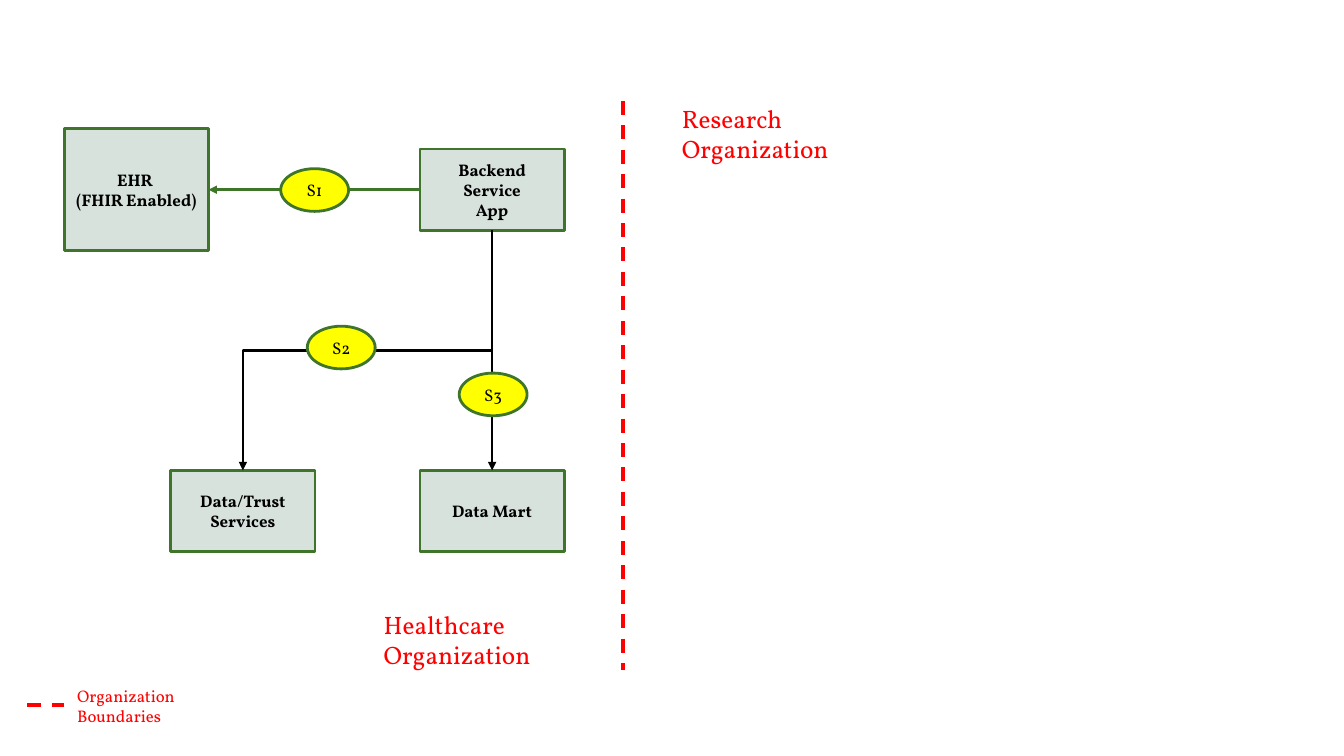
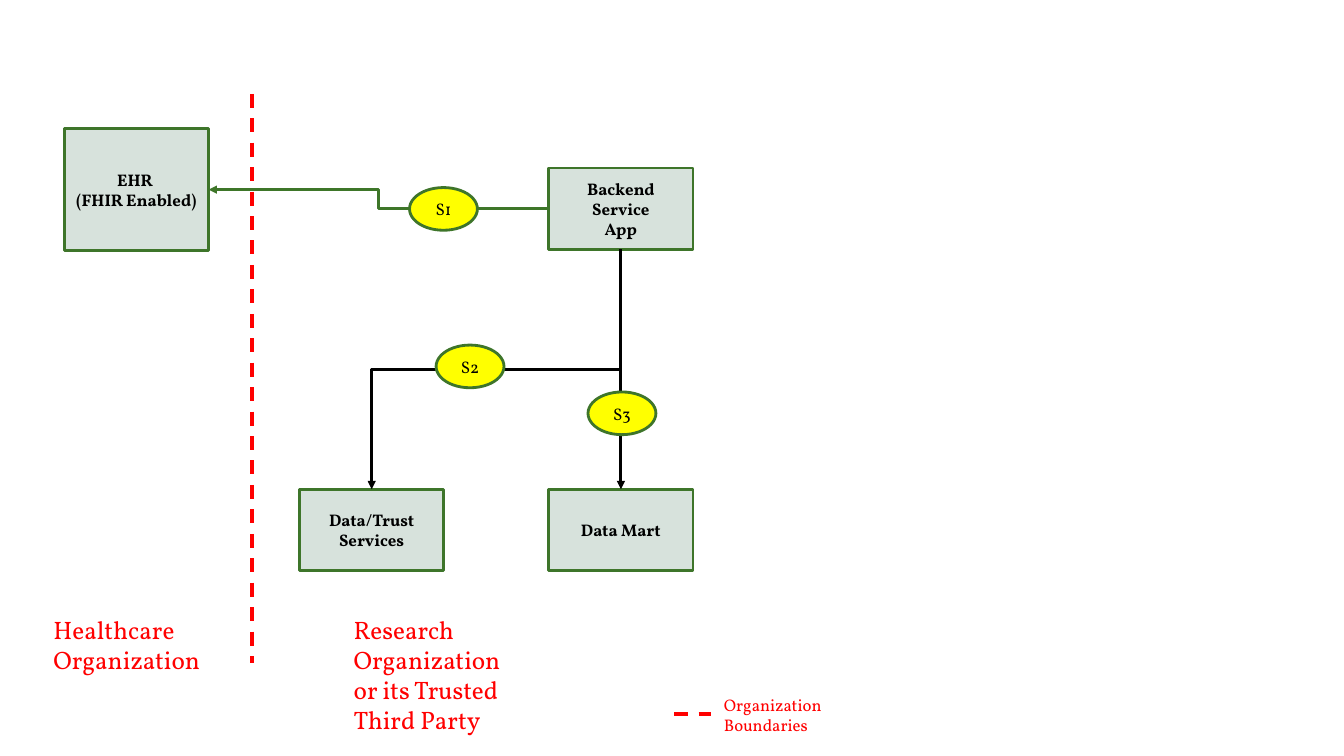
from pptx import Presentation
from pptx.dml.color import RGBColor
from pptx.enum.dml import MSO_LINE
from pptx.enum.shapes import MSO_CONNECTOR as CONN, MSO_SHAPE as SHAPE
from pptx.enum.text import MSO_ANCHOR, MSO_AUTO_SIZE, PP_ALIGN
from pptx.oxml.ns import qn
from pptx.util import Pt
from lxml import etree

FONT = "Vollkorn"
COLORS = {
    "box": "D7E2DC",
    "border": "3E752A",
    "query": "3E7629",
    "step": "FFFF00",
    "boundary": "FF0000",
    "black": "000000",
}
BOX_W, BOX_H, EHR_H = 103, 58, 87
STEP_W, STEP_H = 48.5, 30.5
TOP, LEFT, BOTTOM, RIGHT = range(4)  # connection sites of a rectangle


def rgb(name):
    return RGBColor.from_string(COLORS[name])


def write(tf, lines, size, color, bold=False, align=PP_ALIGN.LEFT):
    tf.word_wrap = True
    for i, text in enumerate(lines):
        p = tf.add_paragraph() if i else tf.paragraphs[0]
        p.alignment = align
        r = p.add_run()
        r.text = text
        r.font.name = FONT
        r.font.size = Pt(size)
        r.font.bold = bold
        r.font.color.rgb = rgb(color)


def add_node(s, kind, x, y, w, h, lines, fill, bold=False):
    """Add a bordered shape with centred text."""
    sp = s.shapes.add_shape(kind, Pt(x), Pt(y), Pt(w), Pt(h))
    sp.shadow.inherit = False
    sp.fill.solid()
    sp.fill.fore_color.rgb = rgb(fill)
    sp.line.color.rgb = rgb("border")
    sp.line.width = Pt(2)
    sp.text_frame.vertical_anchor = MSO_ANCHOR.MIDDLE
    write(sp.text_frame, lines, 12, "black", bold, PP_ALIGN.CENTER)
    return sp


def add_box(s, x, y, lines, h=BOX_H):
    return add_node(s, SHAPE.RECTANGLE, x, y, BOX_W, h, lines, "box", True)


def add_step(s, x, y, label):
    return add_node(s, SHAPE.OVAL, x, y, STEP_W, STEP_H, [label], "step")


def add_label(s, x, y, h, lines, size=18):
    tf = s.shapes.add_textbox(Pt(x), Pt(y), Pt(123), Pt(h)).text_frame
    tf.auto_size = MSO_AUTO_SIZE.SHAPE_TO_FIT_TEXT
    write(tf, lines, size, "boundary")


def style_line(con, color, width):
    con.line.color.rgb = rgb(color)
    con.line.width = Pt(width)
    etree.SubElement(con._element.spPr, qn("a:effectLst"))


def add_dashes(s, x1, y1, x2, y2):
    con = s.shapes.add_connector(CONN.STRAIGHT, Pt(x1), Pt(y1), Pt(x2), Pt(y2))
    style_line(con, "boundary", 2.5)
    con.line.dash_style = MSO_LINE.DASH


def turn_down(con):
    """Make an elbow leave downwards: a box turned by 90 degrees on its centre."""
    dx, dy = con.width, con.height
    cx, cy = con.left + dx // 2, con.top + dy // 2
    con.left, con.top = cx - dy // 2, cy - dx // 2
    con.width, con.height = dy, dx
    xfrm = con._element.spPr.find(qn("a:xfrm"))
    xfrm.attrib.pop("flipH", None)
    xfrm.set("rot", "5400000")


def add_arrow(s, start, start_site, end, end_site, color):
    con = s.shapes.add_connector(CONN.ELBOW, 0, 0, 0, 0)
    con.begin_connect(start, start_site)
    con.end_connect(end, end_site)
    if start_site == BOTTOM:
        turn_down(con)
    style_line(con, color, 2)
    etree.SubElement(con.line._get_or_add_ln(), qn("a:tailEnd"), type="triangle")


def add_workflow(s, dx=0, dy=0):
    """Draw the EHR in its fixed place and the service cluster moved by dx, dy."""
    ehr = add_box(s, 46, 92, ["EHR ", "(FHIR Enabled)"], EHR_H)
    app = add_box(s, 300 + dx, 106.5 + dy, ["Backend Service", "App"])
    trust = add_box(s, 122 + dx, 336 + dy, ["Data/Trust Services"])
    mart = add_box(s, 300 + dx, 336 + dy, ["Data Mart"])

    add_arrow(s, app, LEFT, ehr, RIGHT, "query")
    for target in (trust, mart):
        add_arrow(s, app, BOTTOM, target, TOP, "black")

    steps = [("S1", 200.5, 120.5), ("S2", 219.5, 233), ("S3", 328, 266.5)]
    for label, x, y in steps:
        add_step(s, x + dx, y + dy, label)


def add_boundary(s, x, y):
    add_dashes(s, x, y, x, y + 406.5)


def add_legend(s, x, y):
    add_dashes(s, x, y + 17.5, x + 26.5, y + 17.5)
    add_label(s, x + 28.5, y, 36, ["Organization", "Boundaries"], 12)


def main():
    prs = Presentation()
    prs.slide_width, prs.slide_height = Pt(960), Pt(540)
    blank = prs.slide_layouts[6]

    s = prs.slides.add_slide(blank)
    add_workflow(s)
    add_boundary(s, 445, 72)
    add_label(s, 267, 431.5, 73, ["Healthcare Organization"])
    add_label(s, 480, 70, 51, ["Research Organization"])
    add_legend(s, 19.5, 486)

    s = prs.slides.add_slide(blank)
    add_workflow(s, 92, 13.5)
    add_boundary(s, 180, 67)
    add_label(s, 31, 435, 51, ["Healthcare Organization"])
    add_label(s, 245.5, 435, 94,
              ["Research Organization or its Trusted Third Party"])
    add_legend(s, 481.5, 492.5)

    prs.save("out.pptx")


if __name__ == "__main__":
    main()
